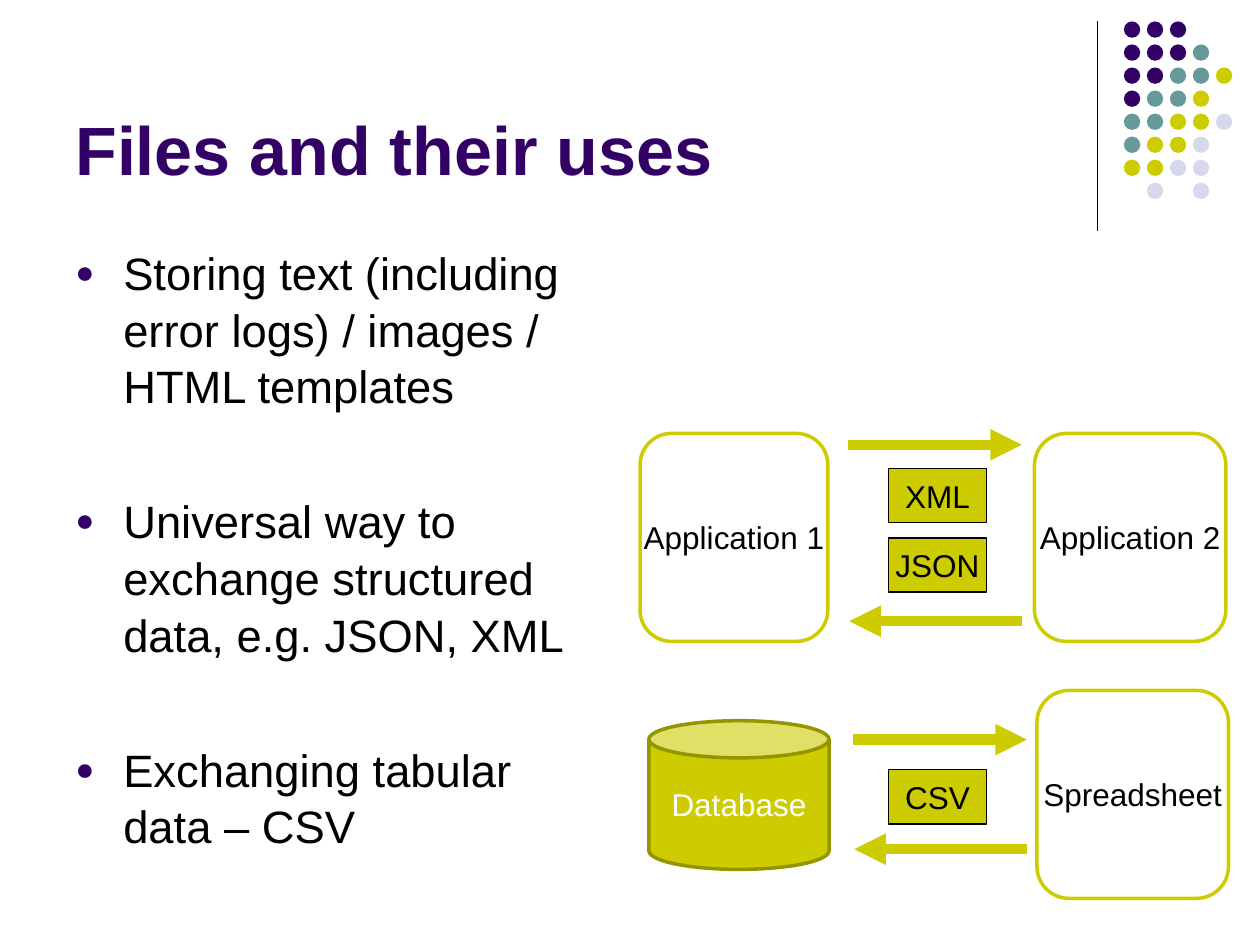
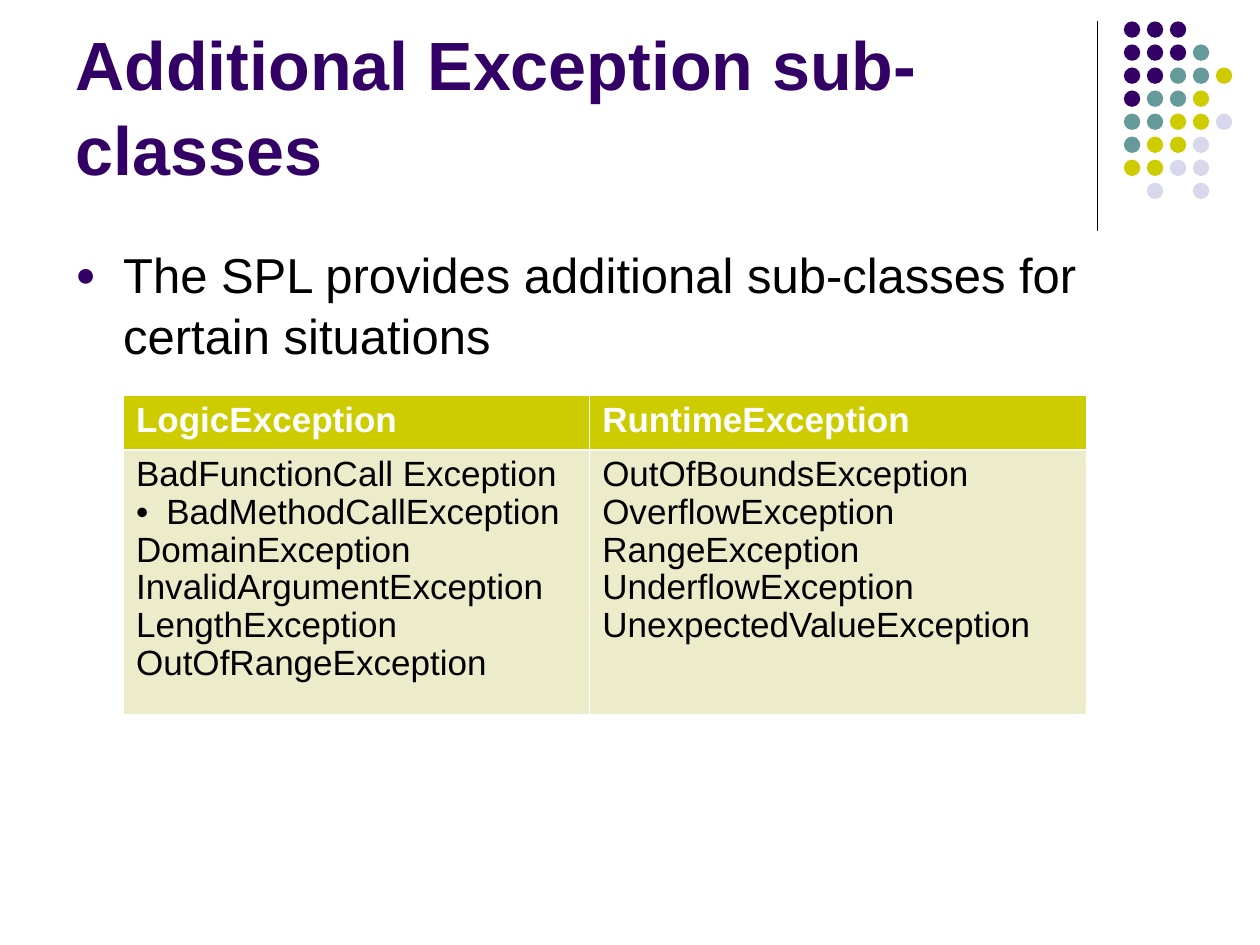
import dataclasses

import lxml.etree
import pptx
import pptx.dml.color
import pptx.enum.shapes
import pptx.enum.text
import pptx.oxml
import pptx.oxml.ns
import pptx.util

Inches = pptx.util.Inches
Pt = pptx.util.Pt
RGB = pptx.dml.color.RGBColor.from_string
Shapes = pptx.enum.shapes.MSO_SHAPE
Anchor = pptx.enum.text.MSO_ANCHOR
Align = pptx.enum.text.PP_ALIGN
qn = pptx.oxml.ns.qn


@dataclasses.dataclass(frozen=True)
class Theme:
    font: str = "Arial"
    purple: str = "330066"
    teal: str = "669999"
    lime: str = "CCCC00"
    lavender: str = "D8D8EC"
    olive: str = "959500"
    cream: str = "ECECCB"
    black: str = "000000"
    white: str = "FFFFFF"
    title_size: float = 39
    list_size: float = 25.9
    intro_size: float = 28
    label_size: float = 18
    table_size: float = 20


theme = Theme()


def write(frame, lines, size, color, bold=False, align=Align.LEFT, spacing=1.0):
    frame.text = "\n".join(lines)
    for para in frame.paragraphs:
        para.alignment = align
        para.line_spacing = spacing
        for span in para.runs:
            span.font.name = theme.font
            span.font.size = Pt(size)
            span.font.bold = bold
            span.font.color.rgb = RGB(color)


def add_bullet(para, symbol, color, percent, indent):
    props = para._p.get_or_add_pPr()
    props.set("marL", str(Inches(indent)))
    props.set("indent", str(-Inches(indent)))
    bullet_color = lxml.etree.SubElement(props, qn("a:buClr"))
    lxml.etree.SubElement(bullet_color, qn("a:srgbClr"), val=color)
    lxml.etree.SubElement(props, qn("a:buSzPct"), val=str(percent * 1000))
    lxml.etree.SubElement(props, qn("a:buFont"), typeface=theme.font)
    lxml.etree.SubElement(props, qn("a:buChar"), char=symbol)


deck = pptx.Presentation()
deck.slide_width = Inches(10)
deck.slide_height = Inches(7.5)

dot_rows = ["PPP", "PPPT", "PPTTY", "PTTY", "TTYYL", "TYYL", "YYLL", " L L"]
dot_colors = {"P": theme.purple, "T": theme.teal, "Y": theme.lime, "L": theme.lavender}

slides = [
    ("Files and their uses", 4.42, theme.list_size, 1.045, [
        "Storing text (including error logs) / images / HTML templates",
        "Universal way to exchange structured data, e.g. JSON, XML",
        "Exchanging tabular data – CSV",
    ]),
    ("Additional Exception sub-classes", 9, theme.intro_size, 1.03, [
        "The SPL provides additional sub-classes for certain situations",
    ]),
]

pages = []
for title, body_width, body_size, body_spacing, points in slides:
    page = deck.slides.add_slide(deck.slide_layouts[6])
    pages.append(page)

    rule = page.shapes.add_connector(
        pptx.enum.shapes.MSO_CONNECTOR.STRAIGHT,
        Inches(8.71), Inches(0.17), Inches(8.71), Inches(1.83))
    rule.line.color.rgb = RGB(theme.black)
    rule.line.width = Pt(0.75)
    lxml.etree.SubElement(rule._element.spPr, qn("a:effectLst"))

    for row, pattern in enumerate(dot_rows):
        for column, letter in enumerate(pattern):
            if letter == " ":
                continue
            dot = page.shapes.add_shape(
                Shapes.OVAL, Inches(8.92 + column * 0.73 / 4), Inches(0.17 + row * 1.28 / 7),
                Inches(0.13), Inches(0.13))
            dot.shadow.inherit = False
            dot.fill.solid()
            dot.fill.fore_color.rgb = RGB(dot_colors[letter])
            dot.line.fill.background()

    title_box = page.shapes.add_textbox(Inches(0.5), Inches(0.13), Inches(8.25), Inches(1.42))
    title_box.text_frame.word_wrap = True
    title_box.text_frame.vertical_anchor = Anchor.BOTTOM
    write(title_box.text_frame, [title], theme.title_size, theme.purple, True, spacing=1.045)

    body_box = page.shapes.add_textbox(Inches(0.5), Inches(1.88), Inches(body_width), Inches(4.82))
    body_box.text_frame.word_wrap = True
    write(body_box.text_frame, points, body_size, theme.black, spacing=body_spacing)
    for number, para in enumerate(body_box.text_frame.paragraphs):
        para.space_before = Pt(45 if number else 0)
        add_bullet(para, "●", theme.purple, 70, 0.38)

files_page, exceptions_page = pages

diagram = [
    ("XML", Shapes.RECTANGLE, 7.05, 3.72, 0.78, 0.43),
    ("JSON", Shapes.RECTANGLE, 7.05, 4.27, 0.78, 0.43),
    ("CSV", Shapes.RECTANGLE, 7.05, 6.11, 0.78, 0.43),
    ("Database", Shapes.CAN, 5.15, 5.72, 1.43, 1.18),
    ("Application 1", Shapes.ROUNDED_RECTANGLE, 5.08, 3.44, 1.49, 1.65),
    ("Application 2", Shapes.ROUNDED_RECTANGLE, 8.21, 3.44, 1.52, 1.65),
    ("Spreadsheet", Shapes.ROUNDED_RECTANGLE, 8.23, 5.48, 1.52, 1.65),
]
looks = {
    Shapes.RECTANGLE: (theme.lime, theme.black, 0.75, theme.black),
    Shapes.CAN: (theme.lime, theme.olive, 2, theme.white),
    Shapes.ROUNDED_RECTANGLE: (theme.white, theme.lime, 2, theme.black),
}
for label, kind, left, top, width, height in diagram:
    fill, line, line_width, text_color = looks[kind]
    box = files_page.shapes.add_shape(kind, Inches(left), Inches(top), Inches(width), Inches(height))
    box.shadow.inherit = False
    box.fill.solid()
    box.fill.fore_color.rgb = RGB(fill)
    box.line.color.rgb = RGB(line)
    box.line.width = Pt(line_width)
    box.text_frame.word_wrap = kind == Shapes.CAN
    box.text_frame.vertical_anchor = Anchor.MIDDLE
    write(box.text_frame, [label], theme.label_size, text_color, align=Align.CENTER)

exchanges = [(6.73, 8.11, 3.53), (8.11, 6.74, 4.93), (6.77, 8.15, 5.87), (8.15, 6.78, 6.74)]
for start, end, height in exchanges:
    arrow = files_page.shapes.add_connector(
        pptx.enum.shapes.MSO_CONNECTOR.STRAIGHT,
        Inches(start), Inches(height), Inches(end), Inches(height))
    arrow.line.color.rgb = RGB(theme.lime)
    arrow.line.width = Pt(6)
    lxml.etree.SubElement(arrow.line._get_or_add_ln(), qn("a:tailEnd"), type="triangle")
    lxml.etree.SubElement(arrow._element.spPr, qn("a:effectLst"))

exception_columns = [
    ("LogicException", 3.7, [
        "BadFunctionCall Exception", "BadMethodCallException", "DomainException",
        "InvalidArgumentException", "LengthException", "OutOfRangeException",
    ]),
    ("RuntimeException", 3.94, [
        "OutOfBoundsException", "OverflowException", "RangeException",
        "UnderflowException", "UnexpectedValueException",
    ]),
]
table = exceptions_page.shapes.add_table(
    2, 2, Inches(0.98), Inches(3.14), Inches(7.64), Inches(2.53)).table
table.horz_banding = False
table.rows[0].height = Inches(0.43)
table.rows[1].height = Inches(2.1)
for column, (heading, width, names) in enumerate(exception_columns):
    table.columns[column].width = Inches(width)
    head, body = table.cell(0, column), table.cell(1, column)
    write(head.text_frame, [heading], theme.table_size, theme.white, True, spacing=0.97)
    write(body.text_frame, names, theme.table_size, theme.black, spacing=0.97)
    for cell, fill, thick_side in ((head, theme.lime, "lnB"), (body, theme.cream, "lnT")):
        props = cell._tc.get_or_add_tcPr()
        for side in ("lnL", "lnR", "lnT", "lnB"):
            weight = 1.47 if side == thick_side else 0.45
            border = lxml.etree.SubElement(props, qn("a:" + side), w=str(Pt(weight)))
            paint = lxml.etree.SubElement(border, qn("a:solidFill"))
            lxml.etree.SubElement(paint, qn("a:srgbClr"), val=theme.white)
        cell.fill.solid()
        cell.fill.fore_color.rgb = RGB(fill)
add_bullet(table.cell(1, 0).text_frame.paragraphs[1], "•", theme.black, 100, 0.24)

deck.save("out.pptx")
